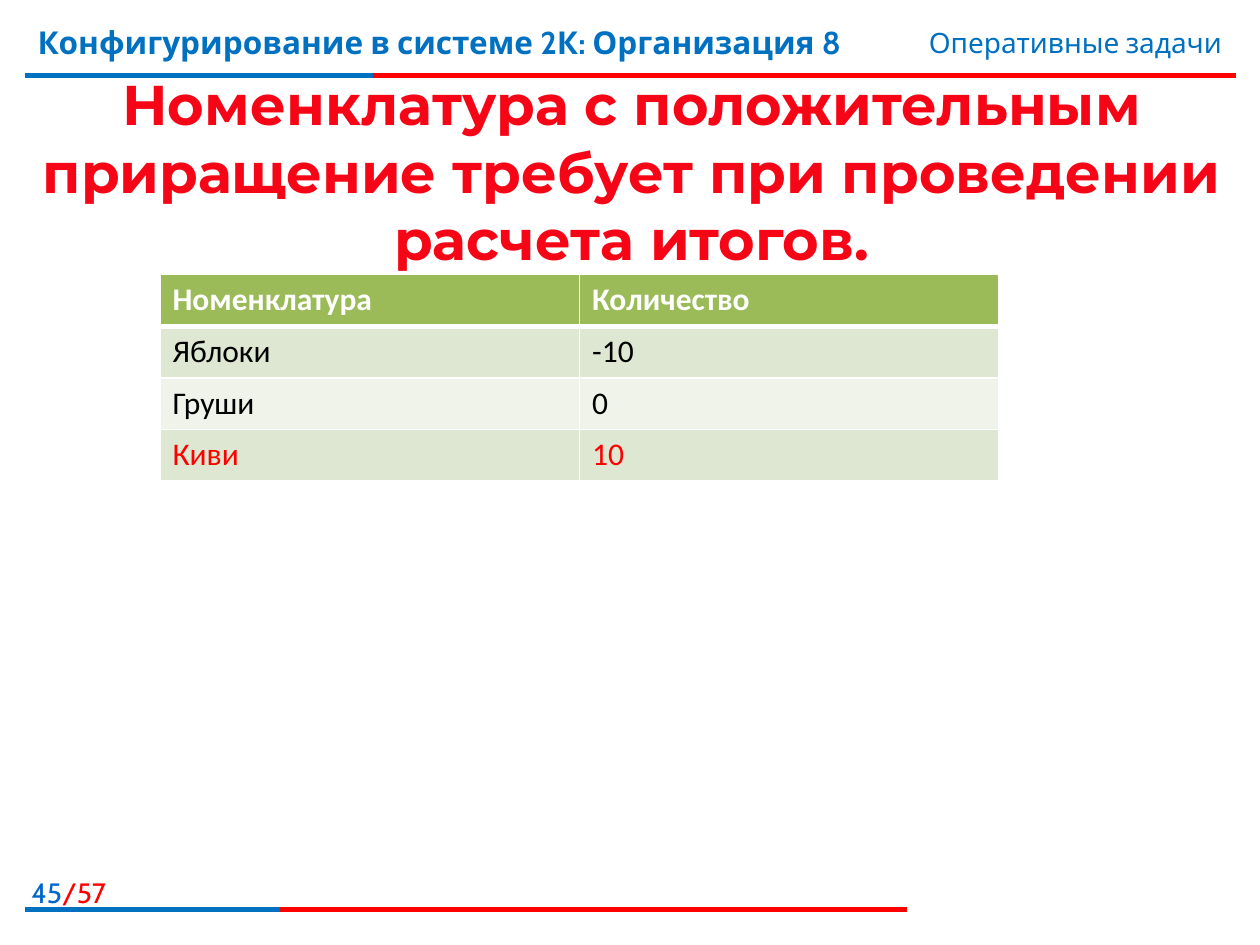
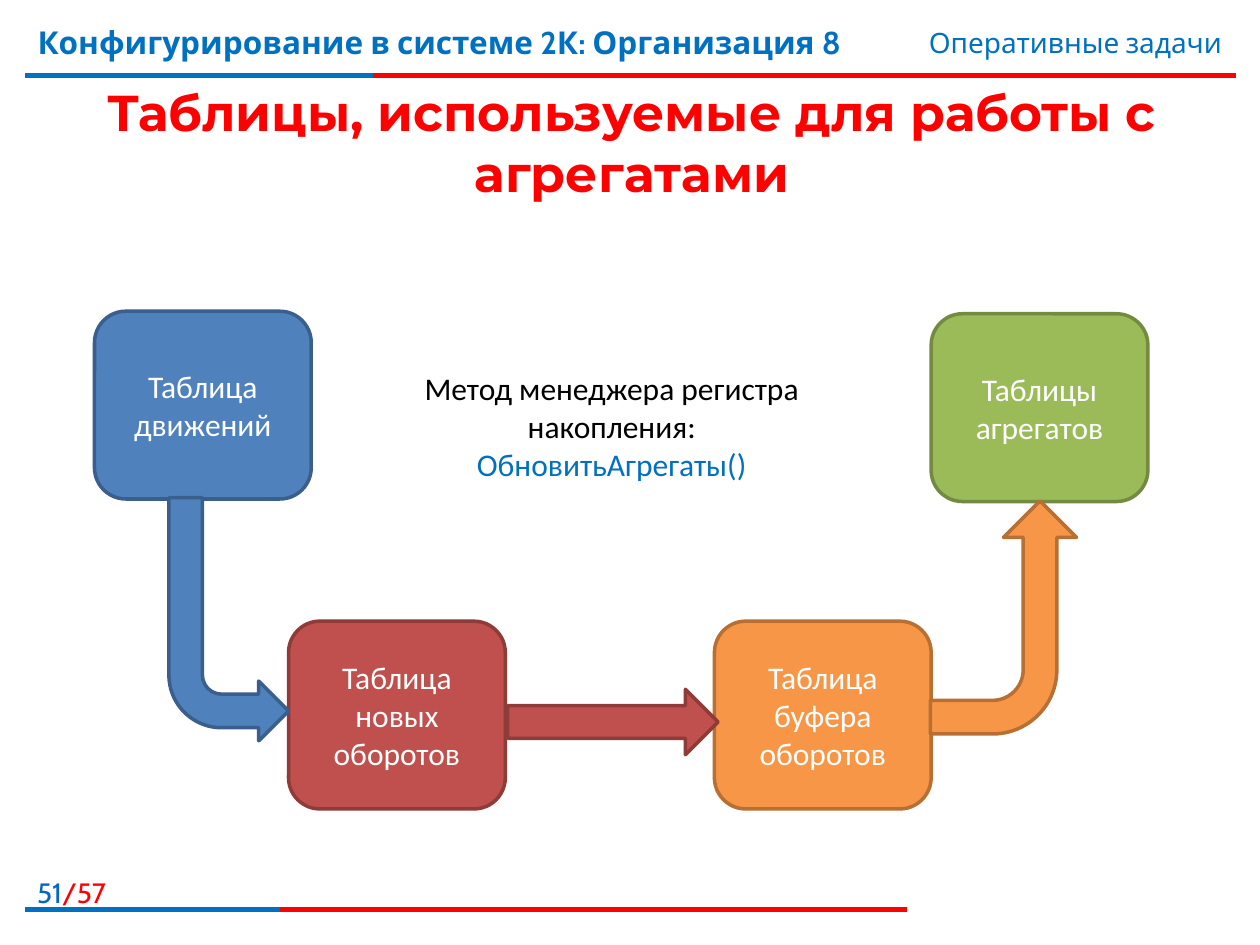
from dataclasses import dataclass

from lxml import etree
from pptx import Presentation
from pptx.dml.color import RGBColor
from pptx.enum.shapes import MSO_CONNECTOR, MSO_SHAPE
from pptx.enum.text import MSO_ANCHOR, PP_ALIGN
from pptx.oxml.ns import qn
from pptx.util import Inches, Pt

LEFT, CENTER, RIGHT = PP_ALIGN.LEFT, PP_ALIGN.CENTER, PP_ALIGN.RIGHT
TOP, MIDDLE = MSO_ANCHOR.TOP, MSO_ANCHOR.MIDDLE
STRAIGHT = MSO_CONNECTOR.STRAIGHT
ROUNDED, RIGHT_ARROW, BENT_ARROW = (
    MSO_SHAPE.ROUNDED_RECTANGLE, MSO_SHAPE.RIGHT_ARROW, MSO_SHAPE.BENT_ARROW)


@dataclass(frozen=True)
class Theme:
    """Colours, fonts and type sizes of the deck."""
    red: str = "FF0000"
    title_red: str = "F50516"
    blue: str = "0070C0"
    page_blue: str = "0066CC"
    white: str = "FFFFFF"
    black: str = "000000"
    head_fill: str = "9BBB59"
    row_fills: tuple = ("DEE7D1", "EFF3EA")
    blue_box: tuple = ("4F81BD", "3A5F8C")
    red_box: tuple = ("C0504D", "8E3B39")
    orange_box: tuple = ("F79646", "B76F34")
    green_box: tuple = ("9BBB59", "738A42")
    title_font: str = "Montserrat"
    band_font: str = "Cabin"
    body_font: str = "Calibri"
    body_size: int = 18
    small_size: int = 16


T = Theme()
PAGE_COUNT = 57


def rgb(code):
    """Turn a hex code into a colour."""
    return RGBColor.from_string(code)


def write(tf, paragraphs, font=T.body_font, size=T.body_size, color=T.black,
          bold=False, align=LEFT, anchor=TOP):
    """Fill a text frame; each paragraph is a string or a list of (text, colour)."""
    tf.word_wrap = True
    tf.vertical_anchor = anchor
    for i, runs in enumerate(paragraphs):
        p = tf.paragraphs[0] if i == 0 else tf.add_paragraph()
        p.alignment = align
        for text, run_color in [(runs, color)] if isinstance(runs, str) else runs:
            r = p.add_run()
            r.text = text
            r.font.name, r.font.size, r.font.bold = font, Pt(size), bold
            r.font.color.rgb = rgb(run_color)


def add_text(s, box, *paragraphs, **style):
    """Add a text box at (left, top, width, height)."""
    tb = s.shapes.add_textbox(*map(Inches, box))
    write(tb.text_frame, paragraphs, **style)


def add_rule(s, y, split, right, left=0.2):
    """Draw a red rule whose left part is blue."""
    for end, color in ((right, T.red), (split, T.blue)):
        line = s.shapes.add_connector(STRAIGHT, *map(Inches, (left, y, end, y)))
        line.line.color.rgb = rgb(color)
        line.line.width = Pt(3)
        etree.SubElement(line.element.spPr, qn("a:effectLst"))


def add_frame(s, page):
    """Draw the header, the footer rule and the page number."""
    add_rule(s, 0.6, 2.96, 9.81)
    add_rule(s, 7.22, 2.22, 7.2)
    add_text(s, (-0.1, 6.9, 1.04, 0.32),
             [(str(page), T.page_blue), (f"/{PAGE_COUNT}", T.red)],
             font=T.band_font, size=T.small_size, align=RIGHT)
    add_text(s, (0.2, 0.13, 7.4, 0.62), "Конфигурирование в системе 2К: Организация 8",
             font=T.band_font, color=T.blue, bold=True)
    add_text(s, (5.94, 0.15, 3.86, 0.37), "Оперативные задачи",
             font=T.band_font, size=T.small_size, color=T.blue, align=RIGHT)


def add_title(s, text, height, size, color):
    """Add the centred slide title."""
    add_text(s, (0.21, 0.63, 9.61, height), text, font=T.title_font, size=size,
             color=color, bold=True, align=CENTER, anchor=MIDDLE)


def add_slide(prs, page, title, height, size, color):
    """Add a blank slide with the shared frame and a title."""
    s = prs.slides.add_slide(prs.slide_layouts[6])
    add_frame(s, page)
    add_title(s, title, height, size, color)
    return s


def set_borders(cell, top, bottom):
    """Give a cell white borders, with top and bottom widths in points."""
    tc_pr = cell._tc.get_or_add_tcPr()
    for side, width in (("L", 1), ("R", 1), ("T", top), ("B", bottom)):
        ln = etree.SubElement(tc_pr, qn(f"a:ln{side}"), w=str(Pt(width)))
        fill = etree.SubElement(ln, qn("a:solidFill"))
        etree.SubElement(fill, qn("a:srgbClr"), val=T.white)


def add_grid(s, left, top, col_width, row_height, rows, marked):
    """Add a banded table with a header row and one marked row."""
    cols = len(rows[0])
    table = s.shapes.add_table(
        len(rows), cols, Inches(left), Inches(top),
        Inches(col_width * cols), Inches(row_height * len(rows))).table
    for i, row in enumerate(rows):
        fill = T.row_fills[(i - 1) % 2] if i else T.head_fill
        color = T.red if i == marked else T.black if i else T.white
        for j, text in enumerate(row):
            cell = table.cell(i, j)
            set_borders(cell, 3 if i == 1 else 1, 1 if i else 3)
            cell.fill.solid()
            cell.fill.fore_color.rgb = rgb(fill)
            write(cell.text_frame, [text], color=color, bold=i == 0)


def add_block(s, kind, box, colors, rotation=0, flip=False, adjustments=()):
    """Add a filled, outlined preset shape."""
    sp = s.shapes.add_shape(kind, *map(Inches, box))
    sp.shadow.inherit = False
    fill, outline = colors
    sp.fill.solid()
    sp.fill.fore_color.rgb = rgb(fill)
    sp.line.color.rgb = rgb(outline)
    sp.line.width = Pt(2)
    sp.rotation = rotation
    if flip:
        sp.element.spPr.find(qn("a:xfrm")).set("flipH", "1")
    for i, value in enumerate(adjustments):
        sp.adjustments[i] = value
    return sp


def add_step(s, left, top, text, colors):
    """Add one labelled box of the table flow."""
    sp = add_block(s, ROUNDED, (left, top, 1.72, 1.49), colors)
    write(sp.text_frame, [text], color=T.white, align=CENTER, anchor=MIDDLE)


def build_increment_slide(prs):
    """Build the slide on items with a positive increment."""
    s = add_slide(prs, 45, "Номенклатура с положительным приращение требует "
                  "при проведении расчета итогов.", 1.45, 32, T.title_red)
    rows = [("Номенклатура", "Количество"), ("Яблоки", "-10"),
            ("Груши", "0"), ("Киви", "10")]
    add_grid(s, 1.27, 2.18, 3.33, 0.41, rows, marked=3)


def build_aggregates_slide(prs):
    """Build the slide on the tables behind aggregates."""
    s = add_slide(prs, 51, "Таблицы, используемые для работы с агрегатами",
                  0.99, 28.8, T.red)
    for step in ((0.75, 2.47, "Таблица движений", T.blue_box),
                 (2.29, 4.93, "Таблица новых оборотов", T.red_box),
                 (5.67, 4.93, "Таблица буфера оборотов", T.orange_box),
                 (7.39, 2.49, "Таблицы агрегатов", T.green_box)):
        add_step(s, *step)
    add_block(s, BENT_ARROW, (1.34, 3.95, 0.95, 1.93), T.blue_box, rotation=180,
              flip=True, adjustments=(0.28, 0.25, 0.25, 0.44))
    add_text(s, (3.15, 2.88, 3.41, 1.01), "Метод менеджера регистра накопления:",
             [("ОбновитьАгрегаты()", T.blue)], align=CENTER)
    add_block(s, RIGHT_ARROW, (4.03, 5.47, 1.67, 0.52), T.red_box)
    add_block(s, BENT_ARROW, (7.04, 4.32, 1.85, 1.16), T.orange_box, rotation=90,
              flip=True, adjustments=(0.23, 0.25, 0.25, 0.44))


def main():
    """Build and save the deck."""
    prs = Presentation()
    prs.slide_width, prs.slide_height = Inches(10), Inches(7.5)
    build_increment_slide(prs)
    build_aggregates_slide(prs)
    prs.save("out.pptx")


if __name__ == "__main__":
    main()
